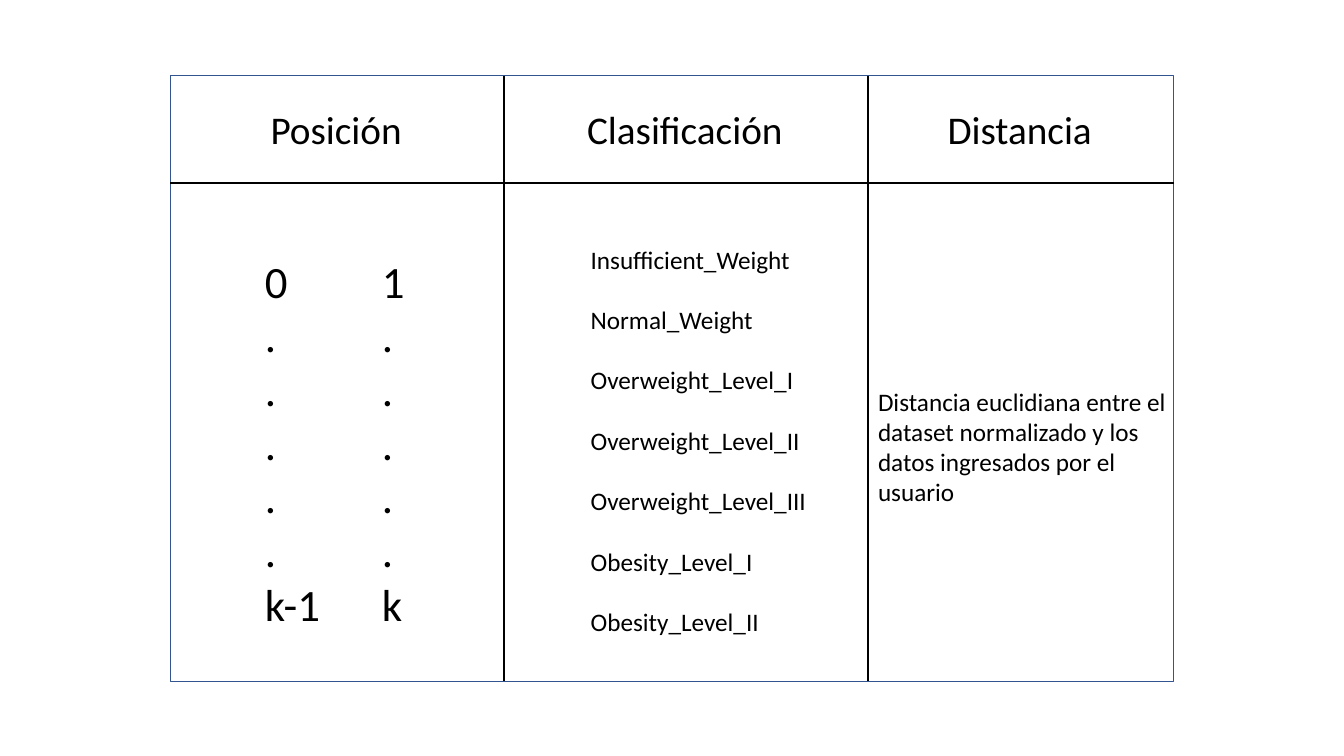
import pptx
import pptx.util
import pptx.dml.color
import pptx.enum.shapes
import pptx.enum.text
from pptx.oxml.ns import qn
from lxml import etree

Inches, Pt = pptx.util.Inches, pptx.util.Pt

# Content: headers as (text, box width)
HEADERS = [("Posición", 1.52), ("Clasificación", 2.16), ("Distancia", 1.65)]
DOTS = ["."] * 5
INDEXES = ["0", *DOTS, "k-1"]
ORDINALS = ["1", *DOTS, "k"]
CLASSES = [
    "Insufficient_Weight", "Normal_Weight", "Overweight_Level_I",
    "Overweight_Level_II", "Overweight_Level_III",
    "Obesity_Level_I", "Obesity_Level_II",
]
DISTANCE = [
    "Distancia euclidiana entre el", "dataset normalizado y los",
    "datos ingresados por el", "usuario",
]

THEME = {
    "font": "Calibri", "text": "000000", "rule": "000000", "frame": "325491",
    "header": 28, "index": 32, "body": 18,
}

# Grid edges in inches
COLUMNS = [1.69, 5, 8.61, 11.64]
TOP, HEADER_BOTTOM, BOTTOM = 0.75, 1.82, 6.76

# Body cells: lines, left, top, width, height, size key, line spacing
BODY = [
    (INDEXES, 2.53, 2.47, 0.77, 4.41, "index", 1),
    (ORDINALS, 3.69, 2.47, 0.43, 4.41, "index", 1),
    (CLASSES, 5.76, 2.07, 2.36, 4.26, "body", 2),
    (DISTANCE, 8.61, 3.78, 3.15, 1.31, "body", 1),
]


def color(key):
    return pptx.dml.color.RGBColor.from_string(THEME[key])


def add_rule(slide, x1, y1, x2, y2):
    line = slide.shapes.add_connector(
        pptx.enum.shapes.MSO_CONNECTOR.STRAIGHT,
        Inches(x1), Inches(y1), Inches(x2), Inches(y2))
    line.line.color.rgb = color("rule")
    line.line.width = Pt(1.5)
    etree.SubElement(line._element.spPr, qn("a:effectLst"))


def add_text(slide, lines, left, top, width, height, size, spacing=1):
    box = slide.shapes.add_textbox(
        Inches(left), Inches(top), Inches(width), Inches(height))
    tf = box.text_frame
    tf.word_wrap = False
    tf.auto_size = pptx.enum.text.MSO_AUTO_SIZE.SHAPE_TO_FIT_TEXT
    for i, text in enumerate(lines):
        p = tf.add_paragraph() if i else tf.paragraphs[0]
        p.line_spacing = float(spacing)
        r = p.add_run()
        r.text = text
        r.font.name = THEME["font"]
        r.font.size = Pt(THEME[size])
        r.font.color.rgb = color("text")


def main():
    prs = pptx.Presentation()
    prs.slide_width, prs.slide_height = Inches(13.33), Inches(7.5)
    slide = prs.slides.add_slide(prs.slide_layouts[6])

    # Frame and inner rules
    left, right = COLUMNS[0], COLUMNS[-1]
    frame = slide.shapes.add_shape(
        pptx.enum.shapes.MSO_SHAPE.RECTANGLE, Inches(left), Inches(TOP),
        Inches(right - left), Inches(BOTTOM - TOP))
    frame.shadow.inherit = False
    frame.fill.background()
    frame.line.color.rgb = color("frame")
    frame.line.width = Pt(1)
    add_rule(slide, left, HEADER_BOTTOM, right, HEADER_BOTTOM)
    for x in COLUMNS[1:-1]:
        add_rule(slide, x, TOP, x, BOTTOM)

    # Headers, centred in their columns
    for (text, width), x1, x2 in zip(HEADERS, COLUMNS, COLUMNS[1:]):
        add_text(slide, [text], (x1 + x2 - width) / 2, 1, width, 0.57, "header")

    # Body cells
    for cell in BODY:
        add_text(slide, *cell)

    prs.save("out.pptx")


if __name__ == "__main__":
    main()
